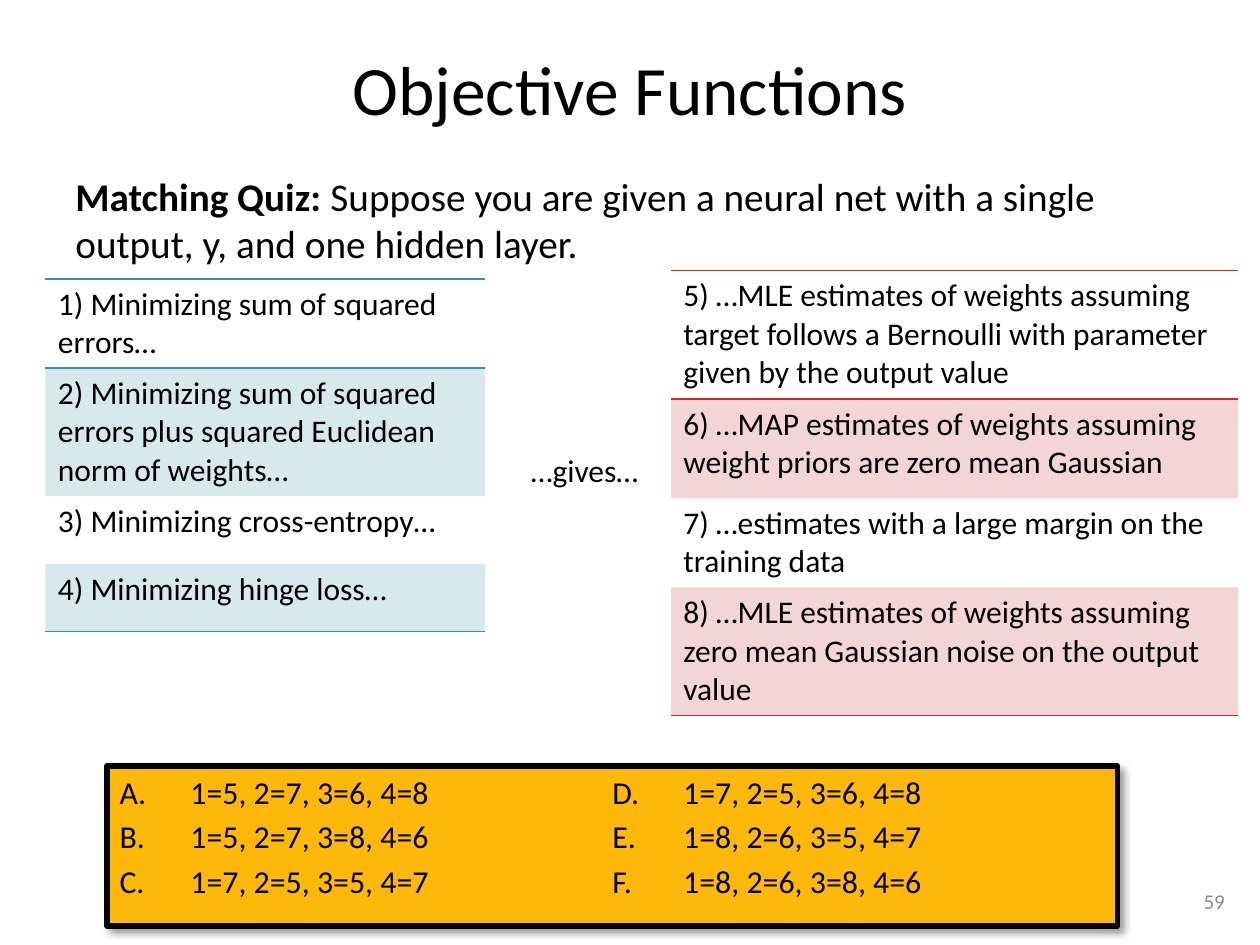
from dataclasses import dataclass

import pptx
import pptx.dml.color
import pptx.enum.shapes
import pptx.enum.text
import pptx.oxml
import pptx.oxml.ns
import pptx.util

Pt = pptx.util.Pt
ALIGN = pptx.enum.text.PP_ALIGN
ANCHOR = pptx.enum.text.MSO_ANCHOR
NAMESPACE = pptx.oxml.ns.nsdecls("a")
NO_TABLE_STYLE = "{2D5ABB26-0587-4C30-8999-92F81FD0307C}"
FONT = "Calibri"
COLORS = {
    "text": "000000",
    "number": "8C8C8C",
    "teal": "3891A7",
    "red": "C32D2E",
    "gold": "FEB80A",
}


@dataclass
class Area:
    left: float
    top: float
    width: float
    height: float

    def lengths(self) -> tuple:
        return Pt(self.left), Pt(self.top), Pt(self.width), Pt(self.height)


@dataclass
class Statement:
    text: str
    height: float


@dataclass
class StatementTable:
    left: float
    top: float
    width: float
    color: str
    statements: list[Statement]


TABLES = [
    StatementTable(25.9, 159.3, 251.3, "teal", [
        Statement("1) Minimizing sum of squared errors…", 51),
        Statement("2) Minimizing sum of squared errors plus squared Euclidean "
                  "norm of weights…", 73.2),
        Statement("3) Minimizing cross-entropy…", 38.7),
        Statement("4) Minimizing hinge loss…", 38.7),
    ]),
    StatementTable(383.3, 154.6, 324, "red", [
        Statement("5) …MLE estimates of weights assuming target follows a "
                  "Bernoulli with parameter given by the output value", 73.5),
        Statement("6) …MAP estimates of weights assuming weight priors are "
                  "zero mean Gaussian", 56.6),
        Statement("7) …estimates with a large margin on the training data", 51),
        Statement("8) …MLE estimates of weights assuming zero mean Gaussian "
                  "noise on the output value", 73.2),
    ]),
]
ANSWERS = [
    "1=5, 2=7, 3=6, 4=8",
    "1=5, 2=7, 3=8, 4=6",
    "1=7, 2=5, 3=5, 4=7",
    "1=7, 2=5, 3=6, 4=8",
    "1=8, 2=6, 3=5, 4=7",
    "1=8, 2=6, 3=8, 4=6",
]


def rgb(color: str) -> pptx.dml.color.RGBColor:
    return pptx.dml.color.RGBColor.from_string(COLORS[color])


def write(para, text: str, *, size: float = 18, color: str = "text",
          bold: bool = False, align=ALIGN.LEFT) -> None:
    para.alignment = align
    span = para.add_run()
    span.text = text
    span.font.name = FONT
    span.font.size = Pt(size)
    span.font.bold = bold
    span.font.color.rgb = rgb(color)


def add_box(page, area: Area, anchor=ANCHOR.MIDDLE):
    """Add a wrapping text box and return its first paragraph."""
    frame = page.shapes.add_textbox(*area.lengths()).text_frame
    frame.word_wrap = True
    frame.vertical_anchor = anchor
    return frame.paragraphs[0]


def add_border(cell, side: str, color: str) -> None:
    """Draw one cell edge; side is lnT or lnB."""
    border = pptx.oxml.parse_xml(
        f'<a:{side} {NAMESPACE} w="12700"><a:solidFill>'
        f'<a:srgbClr val="{COLORS[color]}"/></a:solidFill></a:{side}>')
    cell._tc.get_or_add_tcPr().insert(0, border)


def tint(cell, color: str) -> None:
    """Fill a cell with the colour at 20% opacity."""
    cell.fill.solid()
    cell.fill.fore_color.rgb = rgb(color)
    shade = cell._tc.tcPr.find(".//" + pptx.oxml.ns.qn("a:srgbClr"))
    shade.append(pptx.oxml.parse_xml(f'<a:alpha {NAMESPACE} val="20000"/>'))


def add_statements(page, spec: StatementTable) -> None:
    count = len(spec.statements)
    height = sum(statement.height for statement in spec.statements)
    area = Area(spec.left, spec.top, spec.width, height)
    table = page.shapes.add_table(count, 1, *area.lengths()).table
    table.first_row = table.horz_banding = False
    style = table._tbl.tblPr.find(pptx.oxml.ns.qn("a:tableStyleId"))
    style.text = NO_TABLE_STYLE
    for index, statement in enumerate(spec.statements):
        table.rows[index].height = Pt(statement.height)
        cell = table.cell(index, 0)
        write(cell.text_frame.paragraphs[0], statement.text)
        if index % 2:
            tint(cell, spec.color)
        else:
            cell.fill.background()
        if index in (0, count - 1):
            add_border(cell, "lnB", spec.color)
        if index == 0:
            add_border(cell, "lnT", spec.color)


def add_answers(page, area: Area, answers: list[str]) -> None:
    """Add the shadowed panel with lettered answers in two columns."""
    panel = page.shapes.add_shape(
        pptx.enum.shapes.MSO_SHAPE.RECTANGLE, *area.lengths())
    panel.fill.solid()
    panel.fill.fore_color.rgb = rgb("gold")
    panel.line.color.rgb = rgb("text")
    panel.line.width = Pt(3)
    panel.shadow.inherit = False
    effects = panel._element.spPr.find(pptx.oxml.ns.qn("a:effectLst"))
    effects.append(pptx.oxml.parse_xml(
        f'<a:outerShdw {NAMESPACE} blurRad="{Pt(4)}" dist="{Pt(3)}" '
        f'dir="2700000" algn="tl" rotWithShape="0"><a:srgbClr '
        f'val="{COLORS["text"]}"><a:alpha val="40000"/></a:srgbClr>'
        f'</a:outerShdw>'))
    frame = panel.text_frame
    frame.word_wrap = True
    frame.vertical_anchor = ANCHOR.TOP
    frame._txBody.bodyPr.set("numCol", "2")
    for index, answer in enumerate(answers):
        para = frame.add_paragraph() if index else frame.paragraphs[0]
        properties = para._p.get_or_add_pPr()
        properties.set("marL", str(Pt(40.5)))
        properties.set("indent", str(-Pt(40.5)))
        properties.append(pptx.oxml.parse_xml(
            f'<a:buFont {NAMESPACE} typeface="+mj-lt"/>'))
        properties.append(pptx.oxml.parse_xml(
            f'<a:buAutoNum {NAMESPACE} type="alphaUcPeriod"/>'))
        if index:
            para.space_before = Pt(3.6)
        write(para, answer, size=18.2)


def main() -> None:
    deck = pptx.Presentation()
    deck.slide_width, deck.slide_height = Pt(720), Pt(540)
    page = deck.slides.add_slide(deck.slide_layouts[6])

    write(add_box(page, Area(36, 21.6, 648, 57)), "Objective Functions",
          size=39.6, align=ALIGN.CENTER)
    question = add_box(page, Area(36, 95, 648, 55.4), ANCHOR.TOP)
    write(question, "Matching Quiz:", size=22.4, bold=True)
    write(question, " Suppose you are given a neural net with a single "
          "output, y, and one hidden layer.", size=22.4)
    write(add_box(page, Area(638.6, 500.4, 68.4, 28.8)), "59",
          size=12, color="number", align=ALIGN.RIGHT)
    for table in TABLES:
        add_statements(page, table)
    write(add_box(page, Area(289.4, 238.3, 89.3, 60.5)), "…gives…",
          align=ALIGN.CENTER)
    add_answers(page, Area(61.2, 437.8, 577.4, 91.4), ANSWERS)
    deck.save("out.pptx")


if __name__ == "__main__":
    main()
